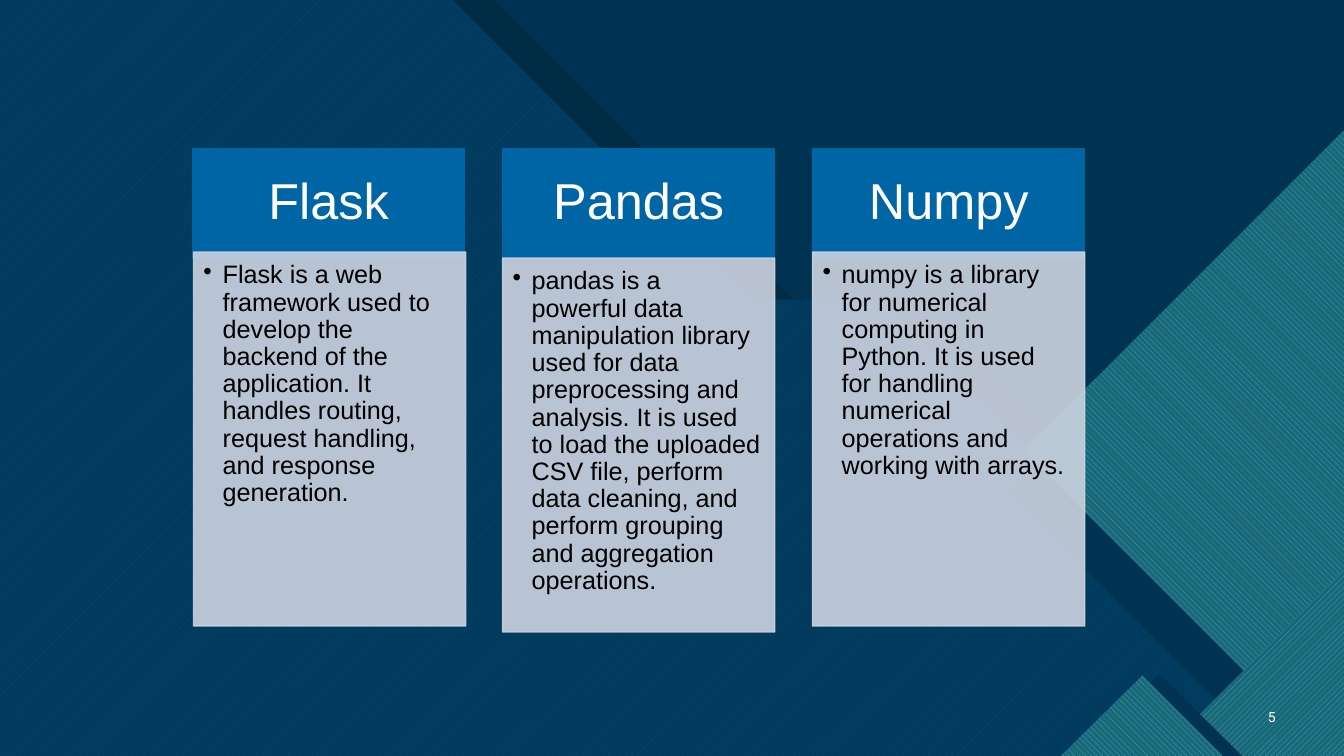
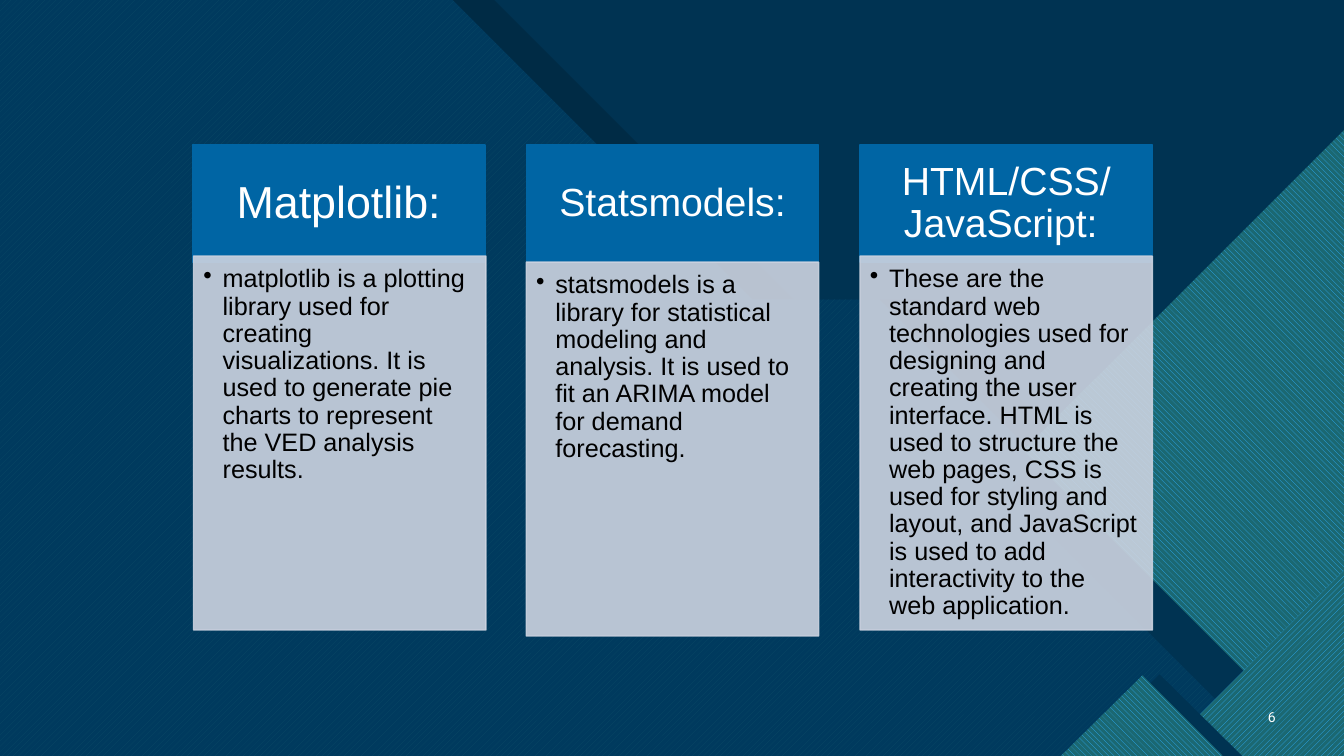
from math import cos, radians, sin

from lxml.etree import SubElement
from pptx import Presentation
from pptx.dml.color import RGBColor
from pptx.enum.dml import MSO_PATTERN
from pptx.enum.shapes import MSO_SHAPE
from pptx.enum.text import MSO_ANCHOR, PP_ALIGN
from pptx.oxml.ns import qn
from pptx.util import Inches, Pt

NAVY = RGBColor(0x00, 0x33, 0x52)
BLACK = RGBColor(0x00, 0x00, 0x00)
WHITE = RGBColor(0xFF, 0xFF, 0xFF)
BLUE = RGBColor(0x00, 0x65, 0xA4)
SKY = RGBColor(0x2F, 0xAF, 0xFF)
AQUA = RGBColor(0x47, 0xC3, 0xD3)
TEAL = RGBColor(0x1B, 0x68, 0x72)
MIST = RGBColor(0xCC, 0xD3, 0xE0)
UP = MSO_PATTERN.WIDE_UPWARD_DIAGONAL
DOWN = MSO_PATTERN.WIDE_DOWNWARD_DIAGONAL

WIDE, HIGH = 13.33, 7.5
BODY = 3.71
LEFT = 1.91
LAP = 0.06

DECKS = [
    {"page": "5", "top": 1.48, "wide": 2.7, "head": 1.08, "step": 3.075, "cards": [
        ("Flask", 36, 0.28,
         "Flask is a web framework used to develop the backend of the application. "
         "It handles routing, request handling, and response generation."),
        ("Pandas", 36, 0.28,
         "pandas is a powerful data manipulation library used for data preprocessing "
         "and analysis. It is used to load the uploaded CSV file, perform data cleaning, "
         "and perform grouping and aggregation operations."),
        ("Numpy", 36, 0.28,
         "numpy is a library for numerical computing in Python. It is used for handling "
         "numerical operations and working with arrays."),
    ]},
    {"page": "6", "top": 1.44, "wide": 2.9, "head": 1.16, "step": 3.31, "cards": [
        ("Matplotlib:", 32, 0.25,
         "matplotlib is a plotting library used for creating visualizations. "
         "It is used to generate pie charts to represent the VED analysis results."),
        ("Statsmodels:", 28, 0.22,
         "statsmodels is a library for statistical modeling and analysis. "
         "It is used to fit an ARIMA model for demand forecasting."),
        ("HTML/CSS/ JavaScript: ", 28, 0.22,
         "These are the standard web technologies used for designing and creating the "
         "user interface. HTML is used to structure the web pages, CSS is used for styling "
         "and layout, and JavaScript is used to add interactivity to the web application."),
    ]},
]


def sweep(left, top, end, *tail):
    turn = top + 2.97
    return [(left, 0), (top, 0), (turn, 2.97), (turn + 1.26, 2.97), end, *tail, (left, HIGH)]


DECOR = [
    (sweep(0.42, 4.9, (WIDE, 7.17), (WIDE, HIGH)), 270, BLACK, 100),
    (sweep(0, 4.49, (13.25, HIGH)), 270, (UP, AQUA, BLUE), 100),
    (sweep(0, 6.95, (WIDE, 5.13), (WIDE, HIGH)), 270, NAVY, 85),
    ([(WIDE, 1.55), (WIDE, 7.08), (12.2, 7.08), (10, 4.88)], 45, NAVY, 100),
    ([(WIDE, 1.29), (WIDE, 7.37), (13.05, 7.37), (10.15, 4.47)], 135, (DOWN, SKY, TEAL), 100),
    ([(WIDE, 6.14), (WIDE, HIGH), (11.97, HIGH)], 45, NAVY, 100),
    ([(WIDE, 5.66), (WIDE, HIGH), (11.49, HIGH)], 135, (UP, SKY, TEAL), 100),
    ([(12.32, HIGH), (11.5, 6.69), (10.69, HIGH)], 225, NAVY, 100),
    ([(10.52, HIGH), (11.33, 6.7), (12.13, HIGH)], 135, (DOWN, SKY, TEAL), 100),
]


def fade(shape, share):
    for tint in shape._element.spPr.iter(qn("a:srgbClr")):
        SubElement(tint, qn("a:alpha"), val=str(share * 1000))


def spin(x, y, turn):
    c, s = cos(radians(turn)), sin(radians(turn))
    return x * c - y * s, x * s + y * c


def facet(slide, points, turn, fill, share):
    flat = [tuple(Inches(v) for v in spin(x, y, -turn)) for x, y in points]
    pen = slide.shapes.build_freeform(*flat[0], scale=1.0)
    pen.add_line_segments(flat[1:], close=True)
    shape = pen.convert_to_shape()
    x, y = spin(shape.left + shape.width / 2, shape.top + shape.height / 2, turn)
    shape.left, shape.top = int(x - shape.width / 2), int(y - shape.height / 2)
    shape.rotation = turn
    shape.shadow.inherit = False
    shape.line.fill.background()
    if isinstance(fill, RGBColor):
        shape.fill.solid()
        shape.fill.fore_color.rgb = fill
    else:
        shape.fill.patterned()
        shape.fill.pattern, shape.fill.fore_color.rgb, shape.fill.back_color.rgb = fill
    if share < 100:
        fade(shape, share)
    return shape


def write(shape, text, size, color, font, align, anchor, pads):
    frame = shape.text_frame
    frame.word_wrap = True
    frame.vertical_anchor = anchor
    frame.margin_left, frame.margin_top, frame.margin_right, frame.margin_bottom = map(Inches, pads)
    frame.text = text
    para = frame.paragraphs[0]
    para.alignment = align
    face = para.runs[0].font
    face.name, face.size, face.color.rgb = font, Pt(size), color
    return para


def panel(slide, box, color):
    shape = slide.shapes.add_shape(MSO_SHAPE.RECTANGLE, *map(Inches, box))
    shape.shadow.inherit = False
    shape.fill.solid()
    shape.fill.fore_color.rgb = color
    shape.line.color.rgb = color
    shape.line.width = Pt(1)
    return shape


def card(slide, deck, col):
    title, size, pad, text = deck["cards"][col]
    x, y, wide, head = LEFT + col * deck["step"], deck["top"], deck["wide"], deck["head"]
    top = panel(slide, (x, y, wide, head), BLUE)
    para = write(top, title, size, WHITE, "Arial", PP_ALIGN.CENTER, MSO_ANCHOR.MIDDLE,
                 (pad, pad * 0.57, pad, pad * 0.57))
    para.line_spacing = 0.9
    drop = y + head - (0 if col == 1 else LAP)
    base = panel(slide, (x + (0.01 if col == 0 else 0), drop, wide, BODY), MIST)
    fade(base, 90)
    para = write(base, text, 18, BLACK, "Arial", PP_ALIGN.LEFT, MSO_ANCHOR.TOP,
                 (0.1, 0.1, 0.14, 0.16))
    para.line_spacing = 0.9
    props = para._p.get_or_add_pPr()
    props.set("marL", str(Inches(0.19)))
    props.set("indent", str(Inches(-0.19)))
    SubElement(props, qn("a:buChar"), char="•")


def main():
    prs = Presentation()
    prs.slide_width, prs.slide_height = Inches(WIDE), Inches(HIGH)
    back = prs.slide_master.background.fill
    back.solid()
    back.fore_color.rgb = NAVY
    layout = prs.slide_layouts[6]
    slides = [prs.slides.add_slide(layout) for _ in DECKS]
    for part in DECOR:
        layout.shapes._spTree.append(facet(slides[0], *part)._element)
    for slide, deck in zip(slides, DECKS):
        for col in range(len(deck["cards"])):
            card(slide, deck, col)
        num = slide.shapes.add_textbox(*map(Inches, (12.31, 6.91, 0.44, 0.4)))
        write(num, deck["page"], 10, WHITE, "Roboto", PP_ALIGN.RIGHT, MSO_ANCHOR.MIDDLE,
              (0.1, 0.05, 0.1, 0.05))
    prs.save("out.pptx")


if __name__ == "__main__":
    main()
